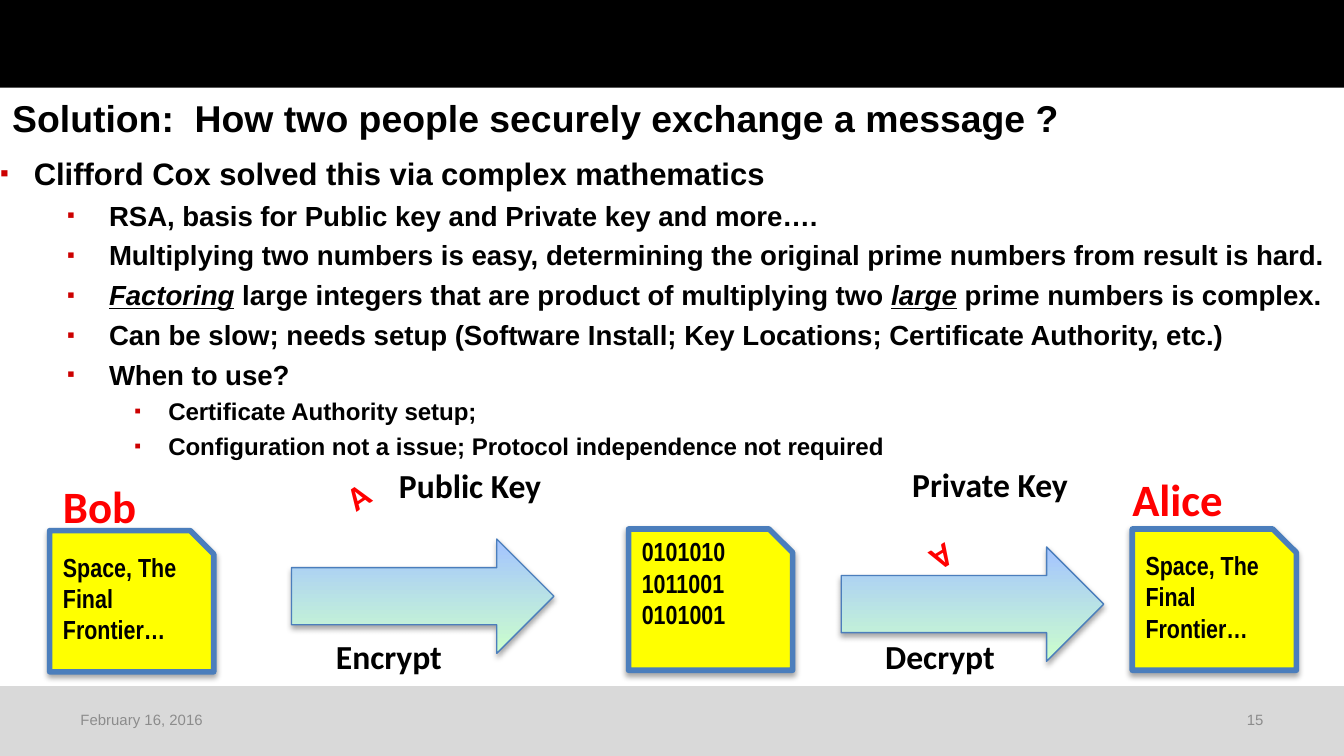
from dataclasses import dataclass
from lxml.etree import SubElement
from pptx import Presentation
from pptx.dml.color import RGBColor as Rgb
from pptx.enum.shapes import MSO_SHAPE as Shape
from pptx.enum.text import MSO_ANCHOR as Anchor, MSO_AUTO_SIZE as AutoSize, PP_ALIGN as Align
from pptx.oxml.ns import qn
from pptx.util import Cm, Pt


@dataclass(frozen=True)
class Theme:
    black: str = "000000"
    red: str = "FF0000"
    bullet: str = "CC0000"
    gray: str = "8C8C8C"
    footer: str = "D9D9D9"
    yellow: str = "FFFF00"
    outline: str = "4B7EBC"
    arrow_bottom: str = "CCFFCC"
    arrow_top: str = "A4C4FF"
    sans: str = "Arial"
    narrow: str = "Arial Narrow"
    label: str = "Calibri"
    title_size: float = 20
    name_size: float = 24
    label_size: float = 18
    note_size: float = 14
    small_size: float = 8
    list_sizes: tuple = (16.6, 14.8, 12.9)


class SlideBuilder:
    def __init__(self, page, theme):
        self.page = page
        self.theme = theme

    def style(self, para, size, face, color, bold=True):
        font = para.font
        font.size, font.name, font.bold = Pt(size), face, bold
        font.color.rgb = Rgb.from_string(color)

    def place(self, shape, left, top, width, height):
        shape.left, shape.top = Cm(left), Cm(top)
        shape.width, shape.height = Cm(width), Cm(height)
        frame = shape.text_frame
        frame.margin_left = frame.margin_right = 0
        frame.margin_top = frame.margin_bottom = Cm(0.13)
        frame.word_wrap = True
        frame.auto_size = AutoSize.NONE
        return frame

    def title(self, text, *area):
        frame = self.place(self.page.shapes.title, *area)
        frame.vertical_anchor = Anchor.MIDDLE
        para = frame.paragraphs[0]
        para.text = text
        para.alignment = Align.LEFT
        self.style(para, self.theme.title_size, self.theme.sans, self.theme.black)

    def bullets(self, items, *area):
        frame = self.place(self.page.placeholders[1], *area)
        frame.vertical_anchor = Anchor.TOP
        indents = ((0.64, 0.64), (2.06, 0.79), (3.18, 0.64))
        for index, (level, text) in enumerate(items):
            para = frame.paragraphs[0] if index == 0 else frame.add_paragraph()
            para.level = level
            para.alignment = Align.LEFT
            margin, hanging = indents[level]
            props = para._p.get_or_add_pPr()
            props.set("marL", str(Cm(margin)))
            props.set("indent", str(-Cm(hanging)))
            color = SubElement(props, qn("a:buClr"))
            SubElement(color, qn("a:srgbClr"), val=self.theme.bullet)
            SubElement(props, qn("a:buSzPct"), val="80000")
            SubElement(props, qn("a:buFont"), typeface=self.theme.sans)
            SubElement(props, qn("a:buChar"), char="▪")
            size = self.theme.list_sizes[level]
            para.space_before = Pt(round(size * 0.24, 1) if index else 0)
            self.style(para, size, self.theme.sans, self.theme.black)
            for part, words in enumerate(text.split("_")):
                if words:
                    span = para.add_run()
                    span.text = words
                    if part % 2:
                        span.font.italic = span.font.underline = True

    def shape(self, kind, left, top, width, height):
        shape = self.page.shapes.add_shape(kind, Cm(left), Cm(top), Cm(width), Cm(height))
        shape.shadow.inherit = False
        return shape

    def band(self, color, top, height):
        band = self.shape(Shape.RECTANGLE, 0, top, 25.4, height)
        band.fill.solid()
        band.fill.fore_color.rgb = Rgb.from_string(color)
        band.line.fill.background()

    def outline(self, shape, width):
        shape.line.color.rgb = Rgb.from_string(self.theme.outline)
        shape.line.width = Pt(width)
        effects = shape._element.spPr.find(qn("a:effectLst"))
        shadow = SubElement(effects, qn("a:outerShdw"), blurRad=str(Pt(3.1)),
                            dist=str(Pt(1.8)), dir="5400000", rotWithShape="0")
        color = SubElement(shadow, qn("a:srgbClr"), val=self.theme.black)
        SubElement(color, qn("a:alpha"), val="35000")

    def text(self, lines, left, top, width, height, size, face, color,
             bold=True, wrap=True, align=Align.LEFT, anchor=Anchor.TOP, rotation=0):
        box = self.page.shapes.add_textbox(Cm(left), Cm(top), Cm(width), Cm(height))
        box.rotation = rotation
        frame = box.text_frame
        frame.word_wrap = wrap
        frame.vertical_anchor = anchor
        for index, line in enumerate(lines):
            para = frame.paragraphs[0] if index == 0 else frame.add_paragraph()
            para.text = line
            para.alignment = align
            self.style(para, size, face, color, bold)

    def note(self, lines, left, top, text_top):
        note = self.shape(Shape.SNIP_1_RECTANGLE, left, top, 3.1, 2.67)
        note.fill.solid()
        note.fill.fore_color.rgb = Rgb.from_string(self.theme.yellow)
        self.outline(note, 3)
        self.text(lines, left, text_top, 3.1, 2.06,
                  self.theme.note_size, self.theme.narrow, self.theme.black)

    def arrow(self, left, top):
        arrow = self.shape(Shape.RIGHT_ARROW, left, top, 4.96, 2.16)
        arrow.fill.gradient()
        arrow.fill.gradient_angle = 90
        colors = (self.theme.arrow_bottom, self.theme.arrow_top)
        for stop, color in zip(arrow.fill.gradient_stops, colors):
            stop.color.rgb = Rgb.from_string(color)
        self.outline(arrow, 0.75)

    def label(self, text, left, top, width):
        self.text([text], left, top, width, 1.03, self.theme.label_size,
                  self.theme.label, self.theme.black, wrap=False)

    def name(self, text, left, top, width):
        self.text([text], left, top, width, 1.27, self.theme.name_size,
                  self.theme.label, self.theme.red, wrap=False)

    def key_mark(self, left, top, rotation):
        self.text(["A"], left, top, 1.19, 1.24, self.theme.label_size,
                  self.theme.label, self.theme.red, rotation=rotation)

    def footer(self, text, left, width, align):
        self.text([text], left, 13.23, width, 0.76, self.theme.small_size, self.theme.sans,
                  self.theme.gray, bold=False, align=align, anchor=Anchor.MIDDLE)


def main():
    deck = Presentation()
    deck.slide_width, deck.slide_height = Cm(25.4), Cm(14.29)
    theme = Theme()
    slide = SlideBuilder(deck.slides.add_slide(deck.slide_layouts[1]), theme)

    slide.band(theme.footer, 12.97, 1.32)
    slide.band(theme.black, 0, 1.66)
    slide.title("Solution:  How two people securely exchange a message ?", 0.23, 1.4, 25.1, 1.63)
    slide.bullets([
        (0, "Clifford Cox solved this via complex mathematics"),
        (1, "RSA, basis for Public key and Private key and more…."),
        (1, "Multiplying two numbers is easy, determining the original prime numbers "
            "from result is hard."),
        (1, "_Factoring_ large integers that are product of multiplying two _large_ "
            "prime numbers is complex."),
        (1, "Can be slow; needs setup (Software Install; Key Locations; "
            "Certificate Authority, etc.)"),
        (1, "When to use?"),
        (2, "Certificate Authority setup;"),
        (2, "Configuration not a issue; Protocol independence not required"),
    ], 0, 2.79, 25.4, 6.15)
    slide.footer("February 16, 2016", 1.27, 3.56, Align.LEFT)
    slide.footer("15", 20.32, 3.81, Align.RIGHT)

    message = ["Space, The Final Frontier…"]
    slide.note(message, 0.94, 10.03, 10.29)
    slide.note(["0101010", "1011001", "0101001"], 11.88, 10, 10)
    slide.arrow(5.51, 10.19)
    slide.arrow(15.9, 10.34)
    slide.note(message, 21.4, 10, 10.26)
    slide.name("Bob", 0.94, 8.92, 1.9)
    slide.name("Alice", 21.15, 8.79, 2.24)
    slide.label("Encrypt", 6.1, 11.89, 2.54)
    slide.label("Decrypt", 16.48, 11.9, 3.66)
    slide.label("Public Key", 7.29, 8.67, 3.23)
    slide.label("Private Key", 16.99, 8.64, 3.48)
    slide.key_mark(6.35, 8.76, 326.2)
    slide.key_mark(17.04, 9.93, 148.8)
    deck.save("out.pptx")


if __name__ == "__main__":
    main()
